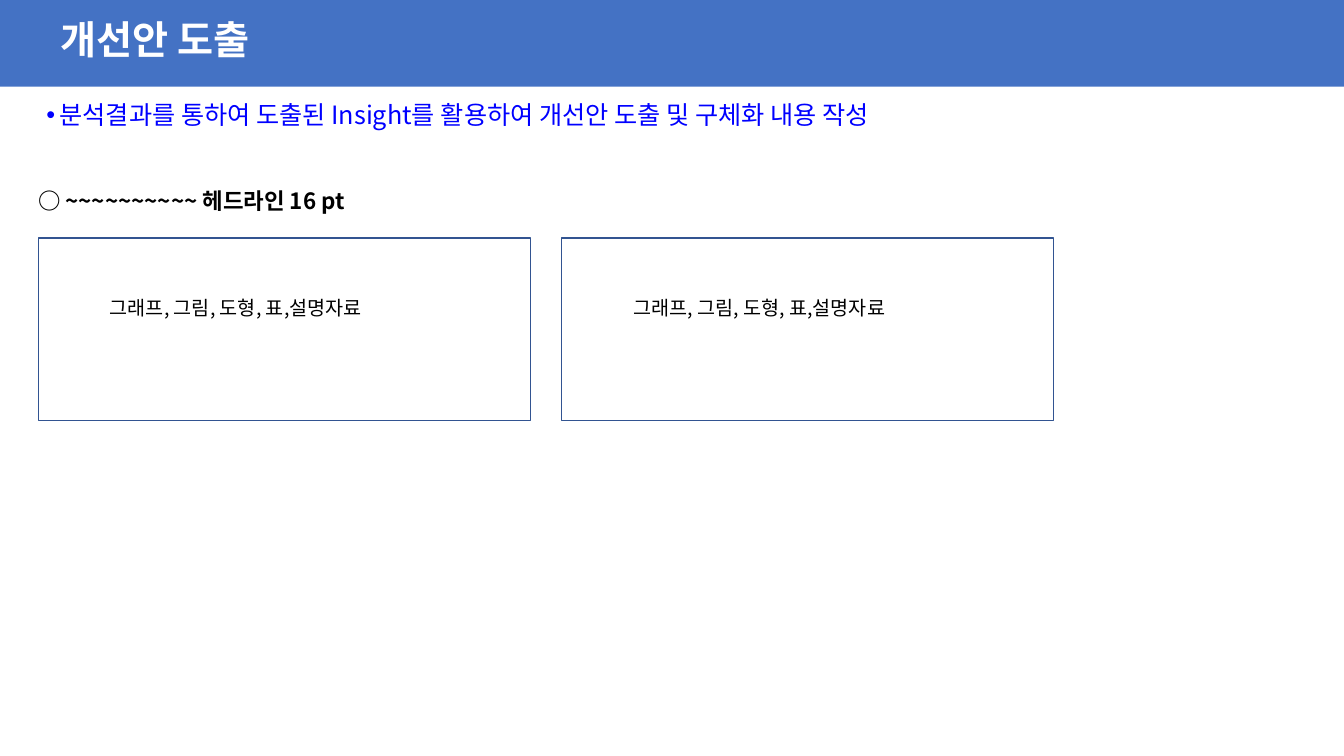
from pptx import Presentation
from pptx.dml.color import RGBColor
from pptx.enum import shapes, text
from pptx.oxml import ns
from pptx.util import Inches, Pt

# Content
FONT = "Noto Sans CJK KR"
TITLE = "개선안 도출"
GUIDE = "분석결과를 통하여 도출된 Insight를 활용하여 개선안 도출 및 구체화 내용 작성"
HEADLINE = "○ ~~~~~~~~~~ 헤드라인 16 pt"
PANELS = ["그래프, 그림, 도형, 표,설명자료"] * 2

# Panel row
PANEL_LEFT, PANEL_TOP = 0.38, 2.36
PANEL_WIDTH, PANEL_HEIGHT, PANEL_STEP = 4.88, 1.81, 5.19
CAPTION_INSET, CAPTION_DROP = 0.61, 0.55


def color(value):
    return RGBColor.from_string(value)


def place(shape, box):
    shape.left, shape.top, shape.width, shape.height = map(Inches, box)


def write(shape, words, size, ink, bold=False, inset=(0.1, 0.05)):
    frame = shape.text_frame
    frame.text = words
    frame.word_wrap = True
    frame.auto_size = text.MSO_AUTO_SIZE.NONE
    frame.vertical_anchor = text.MSO_ANCHOR.TOP
    frame.margin_left = frame.margin_right = Inches(inset[0])
    frame.margin_top = frame.margin_bottom = Inches(inset[1])
    paragraph = frame.paragraphs[0]
    paragraph.alignment = text.PP_ALIGN.LEFT
    paragraph.line_spacing = 0.9
    paragraph.space_before = Pt(0)
    font = paragraph.runs[0].font
    font.size, font.bold, font.name = Pt(size), bold, FONT
    font.color.rgb = color(ink)
    east_asian = font._element.makeelement(ns.qn("a:ea"), {"typeface": FONT})
    font._element.find(ns.qn("a:latin")).addnext(east_asian)
    return paragraph


def add_text(slide, box, *style, **options):
    return write(slide.shapes.add_textbox(*map(Inches, box)), *style, **options)


def add_rectangle(slide, box, fill=None, line=None):
    shape = slide.shapes.add_shape(
        shapes.MSO_SHAPE.RECTANGLE, *map(Inches, box))
    shape.shadow.inherit = False
    if fill:
        shape.fill.solid()
        shape.fill.fore_color.rgb = color(fill)
    else:
        shape.fill.background()
    if line:
        shape.line.color.rgb = color(line)
        shape.line.width = Pt(1)
    else:
        shape.line.fill.background()
    return shape


def main():
    presentation = Presentation()
    presentation.slide_width = Inches(13.33)
    presentation.slide_height = Inches(7.5)
    slide = presentation.slides.add_slide(presentation.slide_layouts[1])

    # Title band, behind the title
    band = add_rectangle(slide, (0, 0, 13.33, 0.86), fill="4472C4")
    slide.shapes._spTree.insert(2, band._element)
    title = slide.shapes.title
    place(title, (0.5, 0.15, 6.35, 0.57))
    write(title, TITLE, 28, "FFFFFF", bold=True)

    # Guide line with a bullet
    body = slide.placeholders[1]
    place(body, (0.36, 0.97, 9.84, 0.4))
    properties = write(body, GUIDE, 18, "0000FF")._p.get_or_add_pPr()
    indent = Inches(0.13)
    properties.set("marL", str(indent))
    properties.set("indent", str(-indent))

    # Headline
    add_text(slide, (0.38, 1.89, 10.2, 0.4), HEADLINE, 16, "000000",
             bold=True, inset=(0, 0))

    # Panels with captions
    for index, caption in enumerate(PANELS):
        left = PANEL_LEFT + index * PANEL_STEP
        add_rectangle(slide, (left, PANEL_TOP, PANEL_WIDTH, PANEL_HEIGHT),
                      line="325491")
        add_text(slide, (left + CAPTION_INSET, PANEL_TOP + CAPTION_DROP, 4.02, 0.57),
                 caption, 14, "000000")

    presentation.save("out.pptx")


if __name__ == "__main__":
    main()
